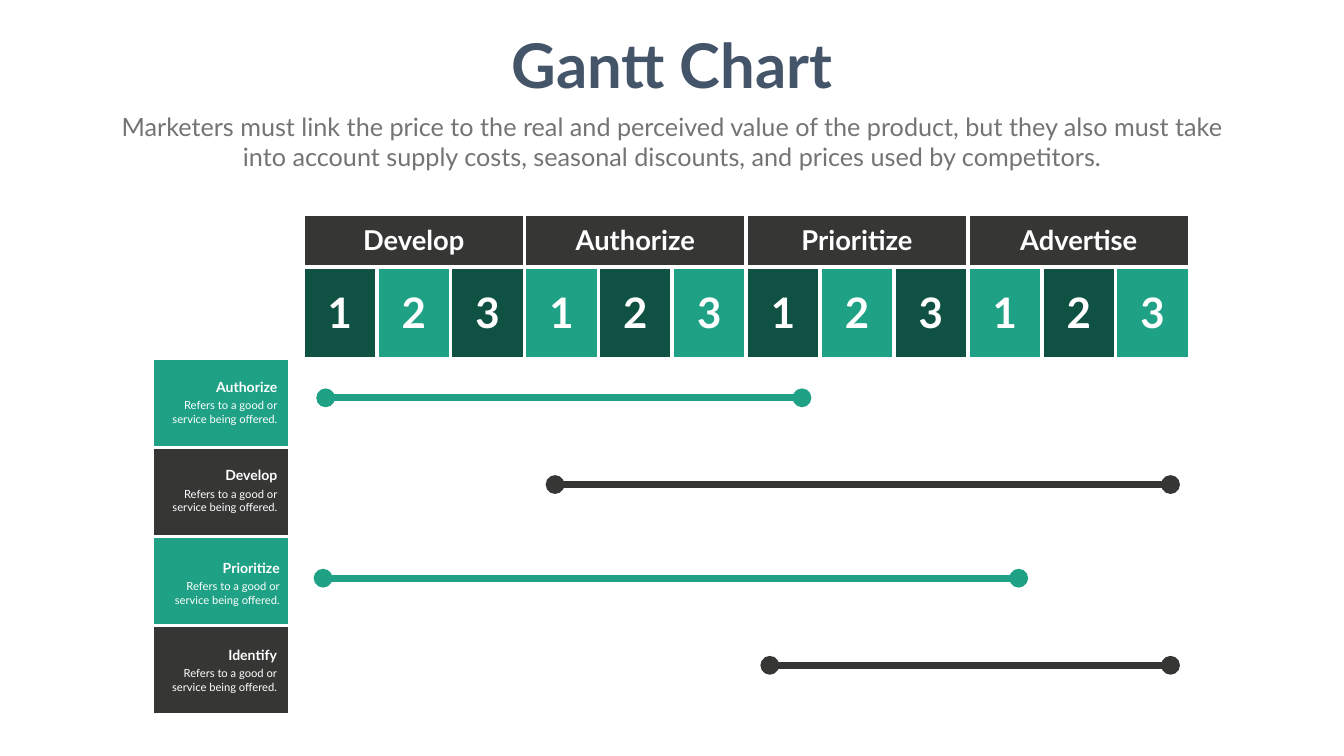
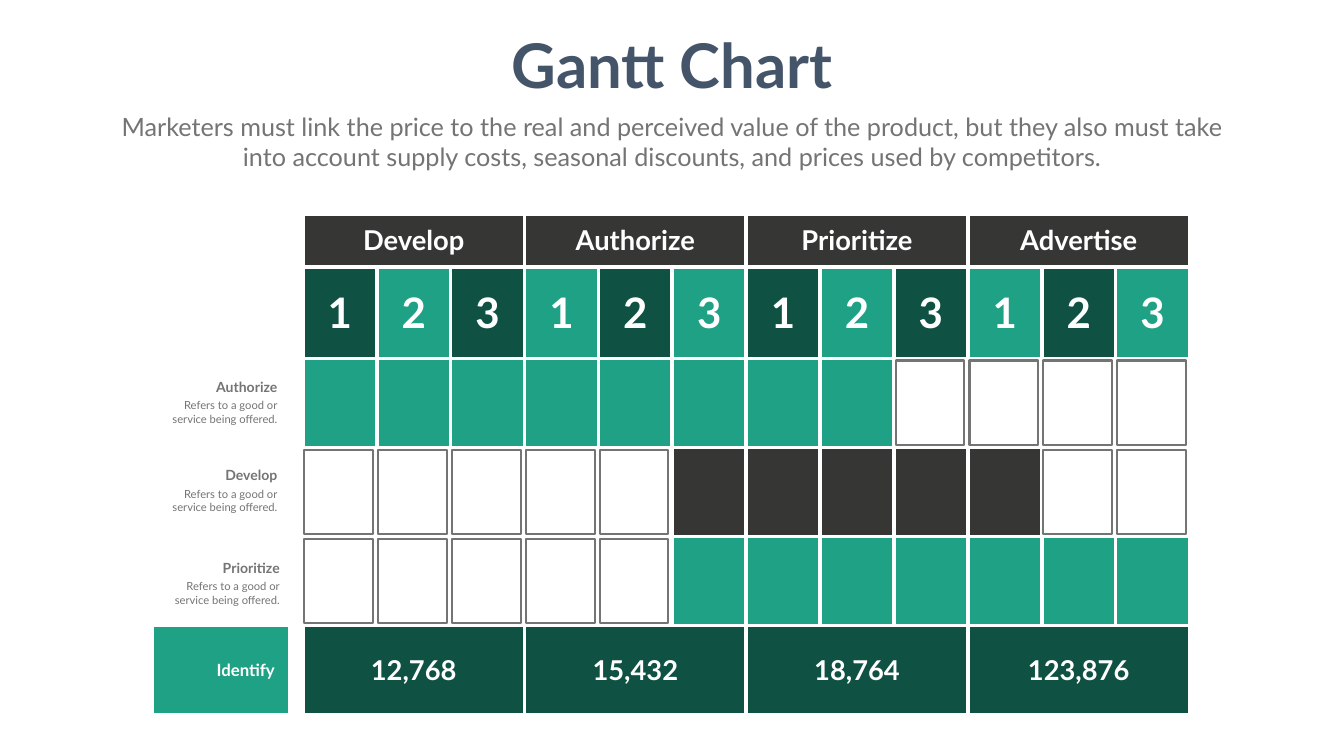
from dataclasses import dataclass

from lxml.etree import SubElement
from pptx import Presentation
from pptx.dml.color import RGBColor
from pptx.enum.shapes import MSO_CONNECTOR as Connector, MSO_SHAPE as Shape
from pptx.enum.text import MSO_ANCHOR as Anchor, MSO_AUTO_SIZE as AutoSize, PP_ALIGN as Align
from pptx.oxml.ns import qn
from pptx.util import Cm, Pt


@dataclass(frozen=True)
class Theme:
    """Colours, font and point sizes shared by the slides."""
    navy: str = "445469"
    grey: str = "737572"
    charcoal: str = "363735"
    green: str = "1EA185"
    deep_green: str = "0F5142"
    white: str = "FFFFFF"
    font: str = "Lato"
    title: int = 88
    subtitle: int = 36
    phase: int = 39
    month: int = 60
    total_label: int = 24
    label: int = 20
    description: int = 16
    cell_border: int = 6
    bar: int = 10
    outline: int = 3


@dataclass(frozen=True)
class Box:
    """A rectangle in centimetres."""
    left: float
    top: float
    width: float
    height: float

    def lengths(self):
        """Return the four sides as slide lengths."""
        return [Cm(value) for value in (self.left, self.top, self.width, self.height)]

    def inner(self, left, top, width, height):
        """Return a box placed relative to this one."""
        return Box(self.left + left, self.top + top, width, height)


THEME = Theme()
PAGE = Box(0, 0, 67.72, 38.1)
GRID = Box(7.67, 10.77, 52.25, 25.25)
LABEL_WIDTH, GAP_WIDTH = 6.93, 0.64
PHASE_HEIGHT, MONTH_HEIGHT = 2.67, 4.62
PHASES = ("Develop", "Authorize", "Prioritize", "Advertise")
MONTHS_PER_PHASE = 3
MONTHS = len(PHASES) * MONTHS_PER_PHASE
CALENDAR_LEFT = LABEL_WIDTH + GAP_WIDTH
MONTH_WIDTH = (GRID.width - CALENDAR_LEFT) / MONTHS
TASK_TOP = PHASE_HEIGHT + MONTH_HEIGHT
TASK_HEIGHT = (GRID.height - TASK_TOP) / 4
FIRST_TASK_ROW, FIRST_MONTH_COLUMN = 2, 2
TASK_COLORS = (THEME.green, THEME.charcoal, THEME.green, THEME.charcoal)

SUBTITLE = ("Marketers must link the price to the real and perceived value of the product, "
            "but they also must take into account supply costs, seasonal discounts, "
            "and prices used by competitors.")
DESCRIPTION = "Refers to a good or\nservice being offered."
# Name, name width, right edge, distance below the row top
LABELS = (("Authorize", 3.63, 6.56, 0.89), ("Develop", 3.18, 6.56, 0.84),
          ("Prioritize", 3.43, 6.68, 1.03), ("Identify", 2.97, 6.54, 0.93))
# Start, end, distance below the row top
BARS = ((1.17, 25.17, 1.99), (12.73, 43.74, 1.87), (1.04, 36.09, 2.1), (23.55, 43.74, 2))
DOT = 0.95
ACTIVE_MONTHS = (range(0, 8), range(5, 10), range(5, 12))
TOTALS = ("12,768", "15,432", "18,764", "123,876")


def color(value):
    """Turn a hex string into a colour."""
    return RGBColor.from_string(value)


def write(frame, text, *, size, ink=THEME.white, bold=False, align=Align.CENTER):
    """Write one paragraph for each line of text."""
    for index, line in enumerate(text.split("\n")):
        paragraph = frame.add_paragraph() if index else frame.paragraphs[0]
        paragraph.alignment = align
        run = paragraph.add_run()
        run.text = line
        run.font.name = THEME.font
        run.font.size = Pt(size)
        run.font.bold = bold
        run.font.color.rgb = color(ink)


def add_text(slide, box, text, wrap=True, anchor=Anchor.TOP, **text_format):
    """Add a text box that grows with its text."""
    frame = slide.shapes.add_textbox(*box.lengths()).text_frame
    frame.word_wrap = wrap
    frame.auto_size = AutoSize.SHAPE_TO_FIT_TEXT
    frame.vertical_anchor = anchor
    write(frame, text, **text_format)


def add_heading(slide, box):
    """Add the title and subtitle at the top of the page."""
    title_width, subtitle_width = 17.09, 56.41
    add_text(slide, box.inner((box.width - title_width) / 2, 1.24, title_width, 4.01),
             "Gantt Chart", wrap=False, size=THEME.title, ink=THEME.navy, bold=True)
    add_text(slide, box.inner((box.width - subtitle_width) / 2, 5.46, subtitle_width, 3.33),
             SUBTITLE, size=THEME.subtitle, ink=THEME.grey)


def style_cell(cell):
    """Give a cell white borders, even margins and no fill."""
    properties = cell._tc.get_or_add_tcPr()
    for side in ("lnL", "lnR", "lnT", "lnB"):
        line = SubElement(properties, qn(f"a:{side}"), w=str(Pt(THEME.cell_border)))
        SubElement(SubElement(line, qn("a:solidFill")), qn("a:srgbClr"), val=THEME.white)
    cell.fill.background()
    cell.margin_left = cell.margin_right = Cm(0.28)
    cell.margin_top = cell.margin_bottom = Cm(0.13)
    cell.vertical_anchor = Anchor.MIDDLE


def fill_cell(cell, fill, text="", size=THEME.phase):
    """Fill a cell and write its bold text."""
    cell.fill.solid()
    cell.fill.fore_color.rgb = color(fill)
    if text:
        write(cell.text_frame, text, size=size, bold=True)


def fill_phases(table, row, texts, fill):
    """Merge a row into phases and write one text in each."""
    for index, text in enumerate(texts):
        column = FIRST_MONTH_COLUMN + index * MONTHS_PER_PHASE
        cell = table.cell(row, column)
        cell.merge(table.cell(row, column + MONTHS_PER_PHASE - 1))
        fill_cell(cell, fill, text)


def add_calendar(slide, box):
    """Add the table with its phase and month headings."""
    widths = [LABEL_WIDTH, GAP_WIDTH] + [MONTH_WIDTH] * MONTHS
    heights = [PHASE_HEIGHT, MONTH_HEIGHT] + [TASK_HEIGHT] * len(LABELS)
    table = slide.shapes.add_table(len(heights), len(widths), *box.lengths()).table
    table.first_row = table.horz_banding = False
    for column, width in zip(table.columns, widths):
        column.width = Cm(width)
    for row, height in zip(table.rows, heights):
        row.height = Cm(height)
    for cell in table.iter_cells():
        style_cell(cell)
    table.cell(1, 1).merge(table.cell(4, 1))
    fill_phases(table, 0, PHASES, THEME.charcoal)
    for month in range(MONTHS):
        fill_cell(table.cell(1, FIRST_MONTH_COLUMN + month),
                  THEME.green if month % 2 else THEME.deep_green,
                  str(month % MONTHS_PER_PHASE + 1), THEME.month)
    return table


def task_box(grid, task):
    """Return the box of one task row."""
    return grid.inner(0, TASK_TOP + task * TASK_HEIGHT, grid.width, TASK_HEIGHT)


def add_label(slide, box, label, ink):
    """Add a task name above its description."""
    name, width, right, top = label
    add_text(slide, box.inner(right - 5.92, top + 1.02, 5.92, 1.63), DESCRIPTION,
             size=THEME.description, ink=ink, align=Align.RIGHT)
    add_text(slide, box.inner(right - width, top, width, 1.12), name, wrap=False,
             size=THEME.label, ink=ink, bold=True, align=Align.RIGHT)


def add_bar(slide, box, bar, ink):
    """Add a time bar with a dot at each end."""
    start, end, top = bar
    starts, ends = box.left + CALENDAR_LEFT + start, box.left + CALENDAR_LEFT + end
    y = box.top + top
    line = slide.shapes.add_connector(Connector.STRAIGHT, Cm(starts), Cm(y), Cm(ends), Cm(y))
    line.line.color.rgb = color(ink)
    line.line.width = Pt(THEME.bar)
    SubElement(line._element.spPr, qn("a:effectLst"))
    for x in (starts, ends):
        dot_box = Box(x - DOT / 2, y - DOT / 2, DOT, DOT)
        dot = slide.shapes.add_shape(Shape.OVAL, *dot_box.lengths())
        dot.shadow.inherit = False
        dot.fill.solid()
        dot.fill.fore_color.rgb = color(ink)
        dot.line.fill.background()


def add_free_month(slide, box, month):
    """Outline a month without work in a task row."""
    left = CALENDAR_LEFT + month * MONTH_WIDTH + 0.1
    outline = slide.shapes.add_shape(Shape.RECTANGLE, *box.inner(left, 0.11, 3.45, 4.24).lengths())
    outline.shadow.inherit = False
    outline.fill.background()
    outline.line.color.rgb = color(THEME.grey)
    outline.line.width = Pt(THEME.outline)


def add_bar_slide(slide, page, grid):
    """Build the schedule drawn with time bars."""
    add_heading(slide, page)
    table = add_calendar(slide, grid)
    for task, (label, bar, ink) in enumerate(zip(LABELS, BARS, TASK_COLORS)):
        row = FIRST_TASK_ROW + task
        table.cell(row, FIRST_MONTH_COLUMN).merge(table.cell(row, FIRST_MONTH_COLUMN + MONTHS - 1))
        fill_cell(table.cell(row, 0), ink)
        add_label(slide, task_box(grid, task), label, THEME.white)
        add_bar(slide, task_box(grid, task), bar, ink)


def add_block_slide(slide, page, grid):
    """Build the schedule drawn with filled months and totals."""
    add_heading(slide, page)
    table = add_calendar(slide, grid)
    for task, (label, active, ink) in enumerate(zip(LABELS, ACTIVE_MONTHS, TASK_COLORS)):
        box = task_box(grid, task)
        add_label(slide, box, label, THEME.grey)
        for month in range(MONTHS):
            if month in active:
                fill_cell(table.cell(FIRST_TASK_ROW + task, FIRST_MONTH_COLUMN + month), ink)
            else:
                add_free_month(slide, box, month)
    total_task = len(ACTIVE_MONTHS)
    total_row = FIRST_TASK_ROW + total_task
    fill_cell(table.cell(total_row, 0), THEME.green)
    fill_phases(table, total_row, TOTALS, THEME.deep_green)
    add_text(slide, task_box(grid, total_task).inner(2.95, 1.59, 3.48, 1.27), "Identify",
             wrap=False, anchor=Anchor.MIDDLE, size=THEME.total_label, bold=True,
             align=Align.RIGHT)


def main():
    """Build and save the presentation."""
    presentation = Presentation()
    presentation.slide_width, presentation.slide_height = Cm(PAGE.width), Cm(PAGE.height)
    blank = presentation.slide_layouts[6]
    for build in (add_bar_slide, add_block_slide):
        build(presentation.slides.add_slide(blank), PAGE, GRID)
    presentation.save("out.pptx")


if __name__ == "__main__":
    main()
